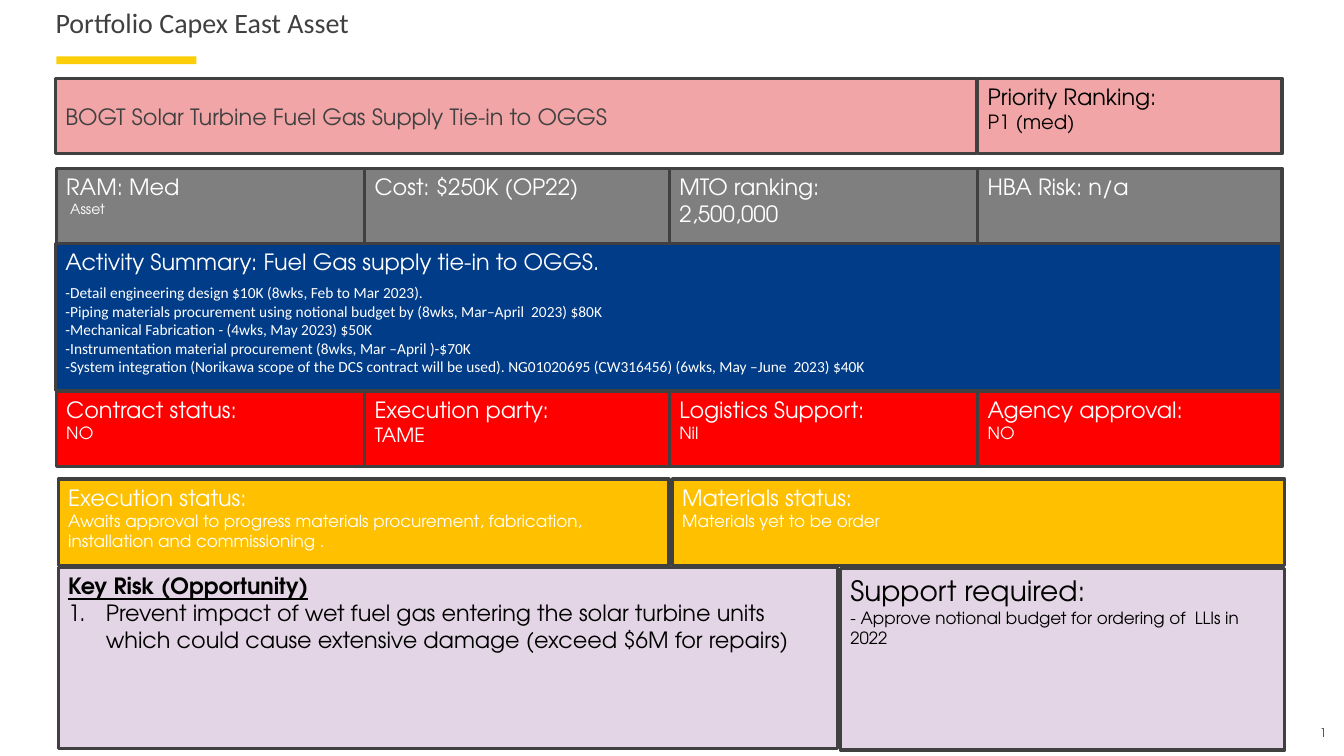
import pptx
import pptx.dml.color
import pptx.enum.shapes
import pptx.enum.text
import pptx.oxml.ns
import pptx.util
from lxml import etree

Cm = pptx.util.Cm
Pt = pptx.util.Pt
Anchor = pptx.enum.text.MSO_ANCHOR
Align = pptx.enum.text.PP_ALIGN
qn = pptx.oxml.ns.qn

INK, WHITE, BLACK = "404040", "FFFFFF", "000000"
PINK, GREY, NAVY, RED = "F1A5A6", "7F7F7F", "003C88", "FF0000"
AMBER, LILAC, YELLOW = "FFC000", "E3D5E5", "FBCE07"


def rgb(value):
    return pptx.dml.color.RGBColor.from_string(value)


class Board:
    heading_font = "TeX Gyre Adventor"
    body_font = "Calibri"

    def __init__(self, deck):
        self.slide = deck.slides.add_slide(deck.slide_layouts[5])

    def add_words(self, paragraph, text, colour, size=16, font=heading_font,
                  before=0, indent=0, numbered=False, **marks):
        if numbered:
            properties = paragraph._p.get_or_add_pPr()
            properties.set("indent", str(-Cm(indent)))
            etree.SubElement(properties, qn("a:buAutoNum"), type="arabicPeriod")
        if indent:
            paragraph._p.get_or_add_pPr().set("marL", str(Cm(indent)))
        if before:
            paragraph.space_before = Pt(before)
        run = paragraph.add_run()
        run.text = text
        for name, value in dict(name=font, size=Pt(size), **marks).items():
            setattr(run.font, name, value)
        run.font.color.rgb = rgb(colour)
        return run

    def frame(self, shape, **settings):
        for name, value in settings.items():
            setattr(shape.text_frame, name, value)
        return shape.text_frame

    def title(self, text, left, top, width, height):
        heading = self.slide.shapes.title
        place = dict(left=left, top=top, width=width, height=height)
        for name, value in place.items():
            setattr(heading, name, Cm(value))
        frame = self.frame(heading, margin_left=0, margin_right=0, margin_top=0,
                           margin_bottom=0, vertical_anchor=Anchor.TOP,
                           auto_size=pptx.enum.text.MSO_AUTO_SIZE.NONE)
        frame.paragraphs[0].alignment = Align.LEFT
        self.add_words(frame.paragraphs[0], text, INK, 20, self.body_font)

    def page_number(self, left, top, width, height):
        box = self.slide.shapes.add_textbox(*map(Cm, (left, top, width, height)))
        frame = self.frame(box, margin_left=0, margin_right=0, margin_top=0,
                           margin_bottom=Cm(0.13), word_wrap=False)
        frame.paragraphs[0].alignment = Align.RIGHT
        field = self.add_words(frame.paragraphs[0], "1", INK, 8.5)._r
        field.tag = qn("a:fld")
        field.set("id", "{B6F15528-21DE-4FAA-801E-634DDDAF4B2B}")
        field.set("type", "slidenum")

    def block(self, left, top, width, height, fill):
        shape = self.slide.shapes.add_shape(
            pptx.enum.shapes.MSO_SHAPE.RECTANGLE,
            *map(Cm, (left, top, width, height)))
        shape.shadow.inherit = False
        shape.fill.solid()
        shape.fill.fore_color.rgb = rgb(fill)
        shape.line.fill.background()
        return shape

    def panel(self, left, top, width, height, fill, colour, lines, anchor=Anchor.TOP):
        shape = self.block(left, top, width, height, fill)
        shape.line.color.rgb = rgb(INK)
        shape.line.width = Pt(2.25)
        frame = self.frame(shape, word_wrap=True, vertical_anchor=anchor)
        for index, (text, style) in enumerate(lines):
            paragraph = frame.add_paragraph() if index else frame.paragraphs[0]
            paragraph.alignment = Align.LEFT
            self.add_words(paragraph, text, colour, **style)

    def panel_row(self, edges, top, height, fill, colour, cells):
        for left, right, lines in zip(edges, edges[1:], cells):
            self.panel(left, top, right - left, height, fill, colour, lines)


def main():
    deck = pptx.Presentation()
    deck.slide_width, deck.slide_height = Cm(33.87), Cm(19.05)
    board = Board(deck)

    columns = [1.42, 9.19, 16.87, 24.64, 32.31]
    row_height = 1.9
    plain, small, medium = {}, {"size": 12}, {"size": 14}

    board.title("Portfolio Capex East Asset", 1.4, 0.15, 31.04, 1.57)
    board.block(1.42, 1.42, 3.53, 0.2, YELLOW)
    board.page_number(32.44, 18.29, 0.99, 0.66)

    board.panel(1.4, 1.98, 23.22, row_height, PINK, INK,
                [("BOGT Solar Turbine Fuel Gas Supply Tie-in to OGGS", plain)],
                Anchor.MIDDLE)
    board.panel_row(columns[3:], 1.98, row_height, PINK, BLACK,
                    [[("Priority Ranking:", plain), ("P1 (med)", medium)]])

    board.panel_row(columns, 4.24, row_height, GREY, WHITE, [
        [("RAM: Med", plain), ("Asset", {"size": 10, "indent": 0.1})],
        [("Cost: $250K (OP22)", plain)],
        [("MTO ranking:", plain), ("2,500,000", plain)],
        [("HBA Risk: n/a", plain)],
    ])

    activities = [
        "-Detail engineering design $10K (8wks, Feb to Mar 2023).",
        "-Piping materials procurement using notional budget by (8wks, Mar–April  2023) $80K",
        "-Mechanical Fabrication - (4wks, May 2023) $50K",
        "-Instrumentation material procurement (8wks, Mar –April )-$70K",
        "-System integration (Norikawa scope of the DCS contract will be used). "
        "NG01020695 (CW316456) (6wks, May –June  2023) $40K",
    ]
    summary = [("Activity Summary: Fuel Gas supply tie-in to OGGS.", plain)]
    for index, activity in enumerate(activities):
        summary.append((activity, {"size": 11, "font": board.body_font,
                                   "before": 0 if index else 6}))
    board.panel(1.4, 6.13, 30.91, 3.71, NAVY, WHITE, summary)

    board.panel_row(columns, 9.86, row_height, RED, WHITE, [
        [("Contract status:", plain), ("NO", small)],
        [("Execution party:", plain), ("TAME", medium)],
        [("Logistics Support:", plain), ("Nil", small)],
        [("Agency approval:", plain), ("NO", small)],
    ])

    board.panel(1.47, 12.07, 15.39, 2.18, AMBER, WHITE, [
        ("Execution status:", plain),
        ("Awaits approval to progress materials procurement, fabrication, "
         "installation and commissioning .", small)])
    board.panel(16.94, 12.07, 15.44, 2.18, AMBER, WHITE, [
        ("Materials status:", plain), ("Materials yet to be order", small)])

    board.panel(1.47, 14.3, 19.63, 4.57, LILAC, BLACK, [
        ("Key Risk (Opportunity)", {"bold": True, "underline": True}),
        ("Prevent impact of wet fuel gas entering the solar turbine units "
         "which could cause extensive damage (exceed $6M for repairs)",
         {"indent": 0.95, "numbered": True})])
    board.panel(21.18, 14.33, 11.2, 4.57, LILAC, BLACK, [
        ("Support required:", {"size": 20}),
        ("- Approve notional budget for ordering of  LLIs in 2022", small)])

    deck.save("out.pptx")


if __name__ == "__main__":
    main()
